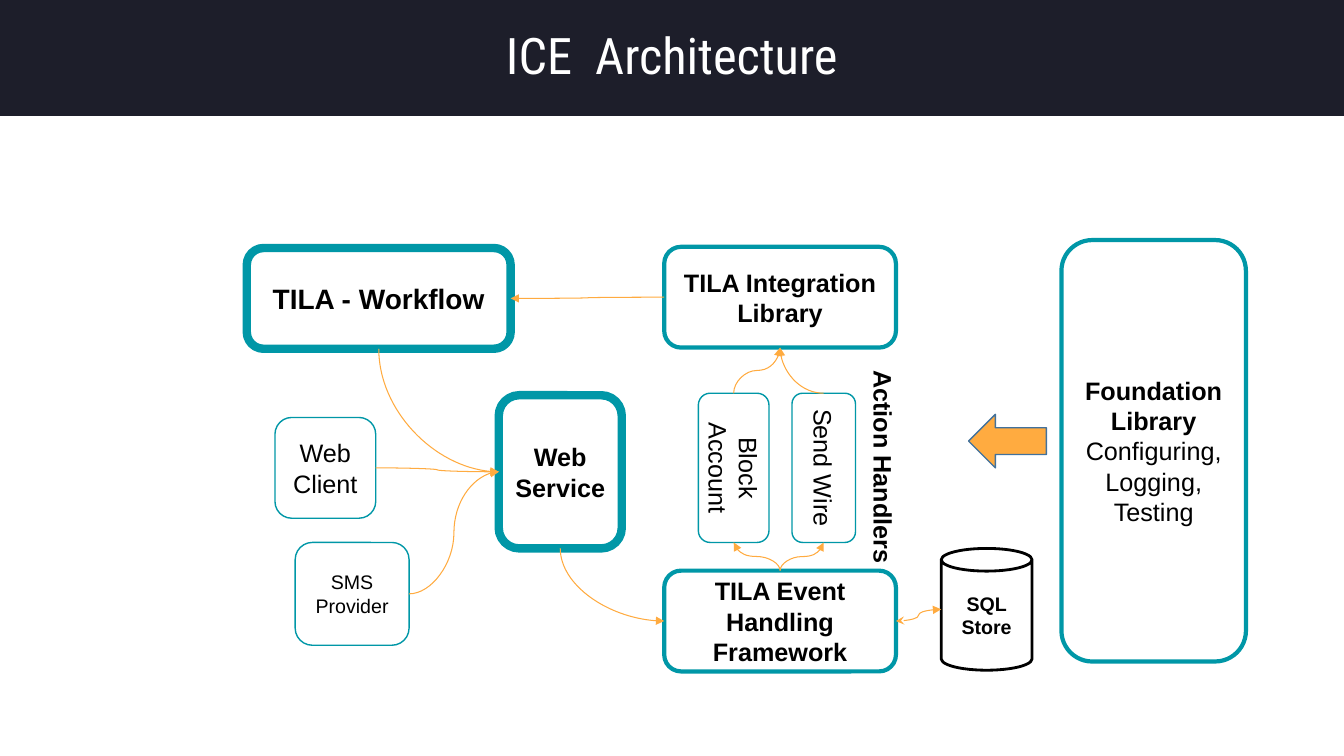
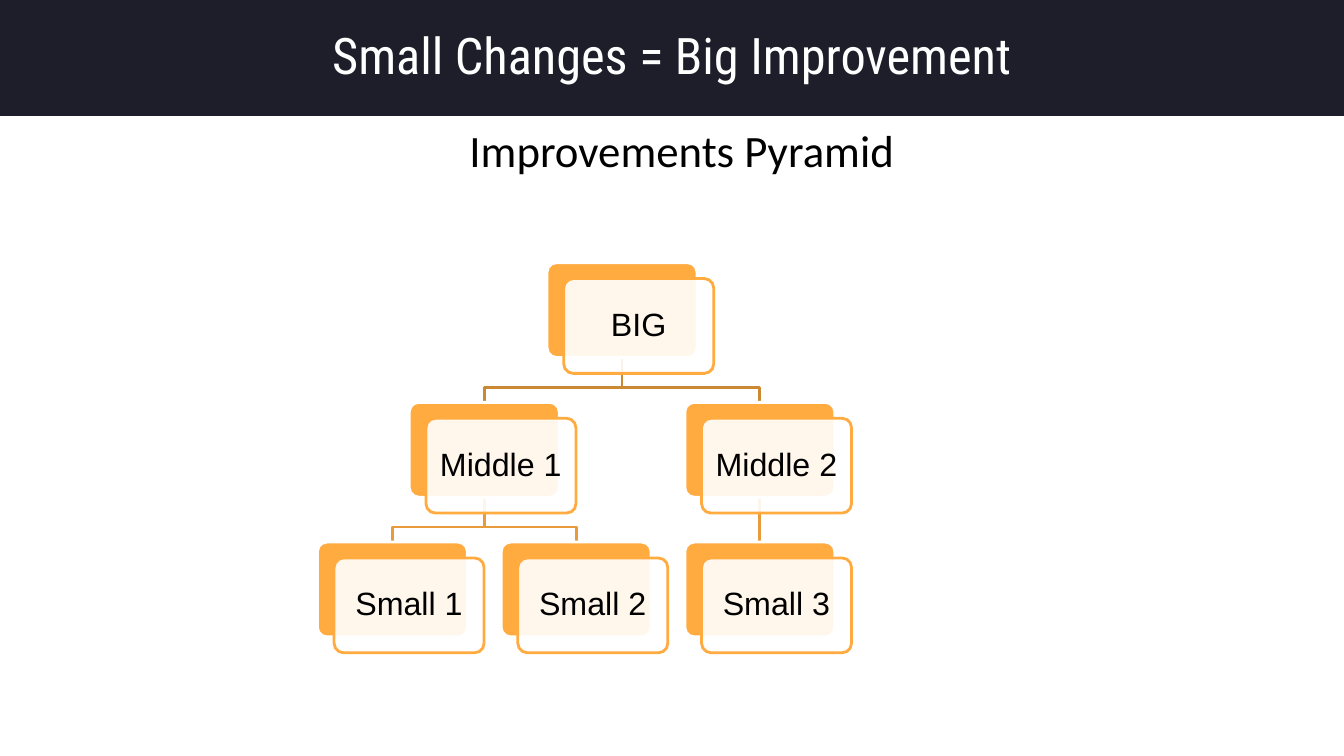
"""Build two slides: an architecture diagram and an improvements pyramid."""
from lxml import etree
from pptx import Presentation
from pptx.dml.color import RGBColor
from pptx.enum import shapes, text
from pptx.oxml.ns import qn
from pptx.util import Cm, Pt

SHAPE = shapes.MSO_SHAPE
CENTER, LEFT = text.PP_ALIGN.CENTER, text.PP_ALIGN.LEFT
MIDDLE, TOP = text.MSO_ANCHOR.MIDDLE, text.MSO_ANCHOR.TOP
NAVY, TEAL, ORANGE, STEEL = "1D1E2A", "0097A7", "FFAB40", "42719B"
WHITE, BLACK = "FFFFFF", "000000"
LINK_COLORS = ["CC8933", "E79B3A"]
SITES = {"top": 0, "left": 1, "bottom": 2, "right": 3}


def rgb(value):
    return RGBColor.from_string(value)


class Deck:
    """Hold the shared style and the current slide."""

    def __init__(self, width, height):
        self.presentation = Presentation()
        self.presentation.slide_width = Cm(width)
        self.presentation.slide_height = Cm(height)
        self.slide = None

    def new_slide(self, title):
        self.slide = self.presentation.slides.add_slide(self.presentation.slide_layouts[5])
        shape = self.slide.shapes.title
        shape.left, shape.top = Cm(0), Cm(0)
        shape.width, shape.height = self.presentation.slide_width, Cm(2.92)
        shape.fill.solid()
        shape.fill.fore_color.rgb = rgb(NAVY)
        self.set_text(shape, [title], 36, font="Roboto Condensed", color=WHITE, spacing=0.9)

    def set_text(self, shape, lines, size, bold=(), font="Arial", color=BLACK, align=CENTER,
                 anchor=MIDDLE, inset=(0.25, 0.13), spacing=None):
        frame = shape.text_frame
        frame.word_wrap = True
        frame.auto_size = text.MSO_AUTO_SIZE.NONE
        frame.vertical_anchor = anchor
        frame.margin_left = frame.margin_right = Cm(inset[0])
        frame.margin_top = frame.margin_bottom = Cm(inset[1])
        for index, line in enumerate(lines):
            paragraph = frame.add_paragraph() if index else frame.paragraphs[0]
            paragraph.alignment = align
            if spacing:
                paragraph.line_spacing = spacing
            run = paragraph.add_run()
            run.text = line
            run.font.name, run.font.size = font, Pt(size)
            run.font.bold = line in bold
            run.font.color.rgb = rgb(color)

    def box(self, kind, at, fill=WHITE, line=TEAL, weight=1, corner=None, alpha=None):
        shape = self.slide.shapes.add_shape(kind, *map(Cm, at))
        shape.shadow.inherit = False
        shape.fill.solid()
        shape.fill.fore_color.rgb = rgb(fill)
        shape.line.color.rgb = rgb(line)
        shape.line.width = Pt(weight)
        if corner:
            shape.adjustments[0] = corner
        if alpha:
            color = shape._element.spPr.find(qn("a:solidFill"))[0]
            etree.SubElement(color, qn("a:alpha")).set("val", str(alpha * 1000))
        return shape

    def node(self, at, lines, size=18, weight=1, bold=()):
        shape = self.box(SHAPE.ROUNDED_RECTANGLE, at, weight=weight)
        self.set_text(shape, lines, size, bold)
        return shape

    def label(self, at, line, size, rotation=0, **style):
        shape = self.slide.shapes.add_textbox(*map(Cm, at))
        shape.rotation = rotation
        self.set_text(shape, [line], size, **style)
        return shape

    def handler(self, at, line, thickness):
        """Draw an upright box with its text turned a quarter."""
        left, top, width, height = at
        shape = self.box(SHAPE.ROUNDED_RECTANGLE, at)
        length = 3.6
        turned = (left + (width - length) / 2, top + (height - thickness) / 2, length, thickness)
        self.label(turned, line, 18, rotation=90)
        return shape

    @staticmethod
    def site(shape, side):
        x = {"left": 0, "right": shape.width}.get(side, shape.width // 2)
        y = {"top": 0, "bottom": shape.height}.get(side, shape.height // 2)
        return shape.left + x, shape.top + y

    def curve(self, source, start, target, end, vertical=False, bend=3, head=None):
        """Join two shapes with a curved arrow that leaves upright or sideways."""
        (x1, y1), (x2, y2) = self.site(source, start), self.site(target, end)
        connector = self.slide.shapes.add_connector(shapes.MSO_CONNECTOR.CURVE, x1, y1, x2, y2)
        connector.begin_connect(source, SITES[start])
        connector.end_connect(target, SITES[end])
        connector.line.color.rgb = rgb(ORANGE)
        connector.line.width = Pt(0.75)
        dx, dy = x2 - x1, y2 - y1
        width, height = (abs(dy), abs(dx)) if vertical else (abs(dx), abs(dy))
        connector.left, connector.top = (x1 + x2 - width) // 2, (y1 + y2 - height) // 2
        connector.width, connector.height = width, height
        properties = connector._element.spPr
        frame = properties.find(qn("a:xfrm"))
        flip_v = (dx > 0) == (dy > 0) if vertical else dy < 0
        frame.set("rot", str((90 if dy > 0 else 270) * 60000 if vertical else 0))
        frame.set("flipH", str(int(dx < 0 and not vertical)))
        frame.set("flipV", str(int(flip_v)))
        properties.find(qn("a:prstGeom")).set("prst", f"curvedConnector{bend}")
        outline = properties.find(qn("a:ln"))
        if head:
            etree.SubElement(outline, qn("a:headEnd")).set("type", head)
        etree.SubElement(outline, qn("a:tailEnd")).set("type", "triangle")
        etree.SubElement(properties, qn("a:effectLst"))

    def polyline(self, points, color):
        points = [(Cm(x), Cm(y)) for x, y in points]
        builder = self.slide.shapes.build_freeform(*points[0])
        builder.add_line_segments(points[1:], close=False)
        shape = builder.convert_to_shape()
        shape.shadow.inherit = False
        shape.fill.background()
        shape.line.color.rgb = rgb(color)
        shape.line.width = Pt(2)

    def card(self, left, top, width, height, line):
        self.box(SHAPE.ROUNDED_RECTANGLE, (left, top, width, height), ORANGE, WHITE, 2, 0.1)
        front = self.box(SHAPE.ROUNDED_RECTANGLE, (left + 0.42, top + 0.4, width, height),
                         WHITE, ORANGE, 2, 0.1, alpha=90)
        self.set_text(front, [line], 23, inset=(0.2, 0.25), spacing=0.9)


def architecture(deck):
    deck.new_slide("ICE  Architecture")

    def strong(at, *lines, size=18, weight=3):
        return deck.node(at, lines, size, weight, bold=lines)

    workflow = strong((6.22, 6.25, 6.65, 2.54), "TILA - Workflow", size=20, weight=6)
    service = strong((12.57, 9.96, 3.1, 3.86), "Web", "Service", weight=6)
    library = strong((16.74, 6.22, 5.84, 2.54), "TILA Integration Library")
    events = strong((16.74, 14.38, 5.84, 2.54), "TILA Event Handling Framework")
    deck.node((26.75, 6.05, 4.65, 10.62), ["Foundation Library", "Configuring, Logging, Testing"],
              weight=3, bold=["Foundation Library"])
    client = deck.node((6.93, 10.52, 2.54, 2.54), ["Web Client"])
    sms = deck.node((7.44, 13.67, 2.87, 2.59), ["SMS", "Provider"], 14)
    database = deck.box(SHAPE.CAN, (23.72, 13.82, 2.29, 3.07), line=BLACK, weight=2, corner=0.25)
    deck.set_text(database, ["SQL Store"], 14, bold=["SQL Store"])
    block = deck.handler((17.6, 9.91, 1.78, 3.76), "Block Account", 1.6)
    wire = deck.handler((19.96, 9.91, 1.6, 3.76), "Send Wire", 1.45)
    deck.label((19.41, 11.43, 5.72, 1.02), "Action Handlers", 18, rotation=90,
               bold=["Action Handlers"], align=LEFT, anchor=TOP)
    arrow = deck.box(SHAPE.RIGHT_ARROW, (24.41, 10.44, 1.96, 1.35), ORANGE, STEEL)
    arrow.rotation = 180

    deck.curve(workflow, "bottom", service, "left", vertical=True, bend=2)
    deck.curve(client, "right", service, "left")
    deck.curve(sms, "right", service, "left")
    deck.curve(service, "bottom", events, "left", vertical=True, bend=2)
    deck.curve(library, "left", workflow, "right")
    deck.curve(events, "right", database, "left", head="stealth")
    for handler in (block, wire):
        deck.curve(events, "top", handler, "bottom", vertical=True)
    deck.curve(block, "top", library, "bottom", vertical=True)
    deck.curve(wire, "top", library, "bottom", bend=2)


def pyramid(deck):
    deck.new_slide("Small Changes = Big Improvement")
    heading = deck.label((2.34, 2.92, 29.21, 15.67), "Improvements Pyramid", 32, font="Calibri",
                         anchor=TOP, inset=(0.33, 0.33), spacing=0.9)
    paragraph = heading.text_frame.paragraphs[0]
    paragraph.space_before = Pt(10)
    paragraph._p.get_or_add_pPr().set("marL", str(Cm(0.48)))

    width, height = 3.78, 2.39
    tops = [6.62 + 3.52 * level for level in range(3)]
    children = {"BIG": ["Middle 1", "Middle 2"], "Middle 1": ["Small 1", "Small 2"],
                "Middle 2": ["Small 3"]}
    levels = [["BIG"], children["BIG"], ["Small 1", "Small 2", "Small 3"]]
    lefts = {name: 8 + 4.63 * index for index, name in enumerate(levels[2])}
    for parent in ("Middle 1", "Middle 2", "BIG"):
        below = children[parent]
        lefts[parent] = sum(lefts[name] for name in below) / len(below)

    for level, color in enumerate(LINK_COLORS):
        bottom = tops[level] + height
        for parent in levels[level]:
            start = lefts[parent] + width / 2
            for child in children[parent]:
                end = lefts[child] + width / 2
                elbow = [(start, bottom + 0.75), (end, bottom + 0.75)] if start != end else []
                deck.polyline([(start, bottom), *elbow, (end, tops[level + 1])], color)
    for top, names in zip(tops, levels):
        for name in names:
            deck.card(lefts[name], top, width, height, name)


def main():
    deck = Deck(33.87, 19.05)
    architecture(deck)
    pyramid(deck)
    deck.presentation.save("out.pptx")


if __name__ == "__main__":
    main()
